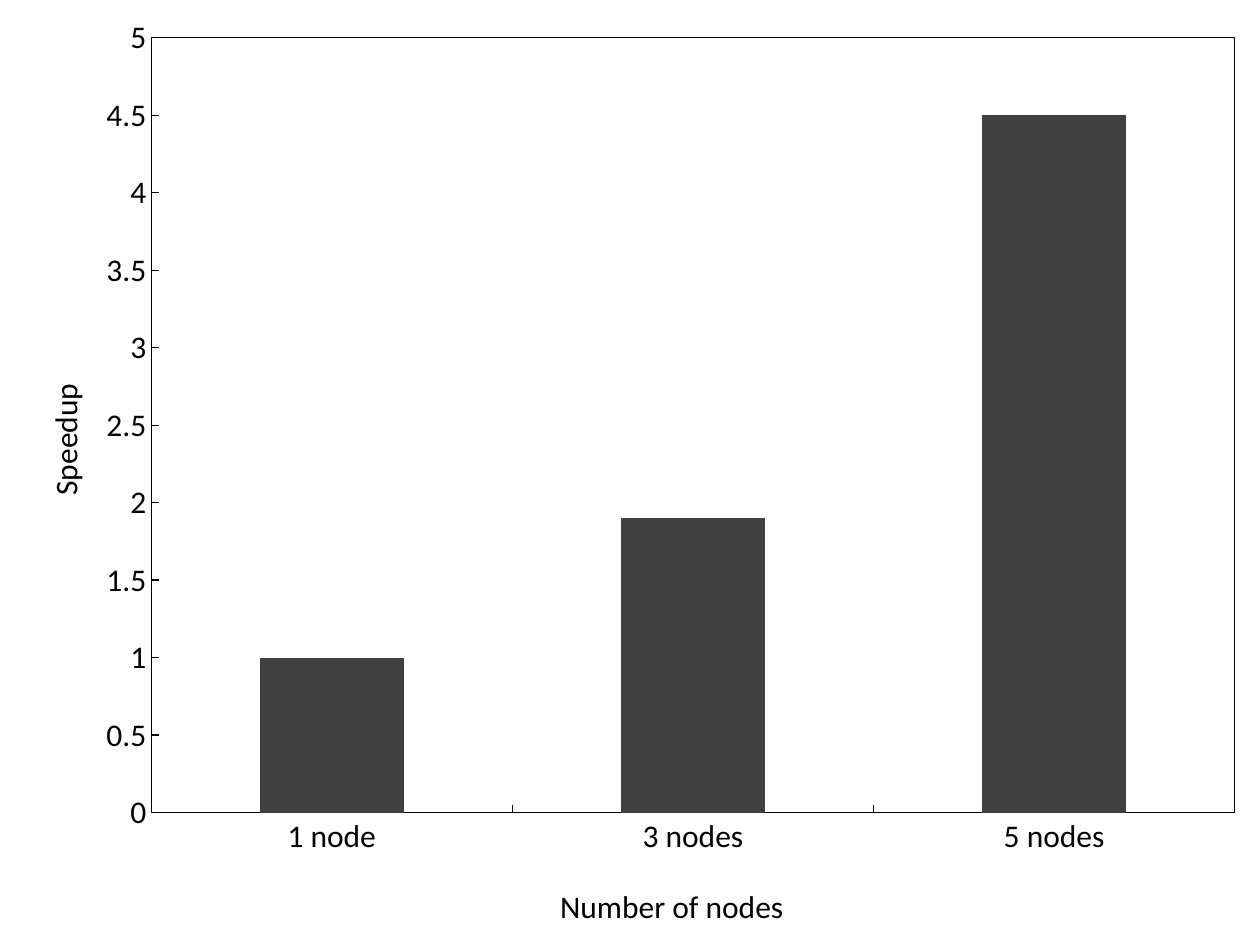
from dataclasses import dataclass

from lxml.etree import SubElement as Sub
from pptx import Presentation
from pptx.chart.data import CategoryChartData as Data
from pptx.dml.color import RGBColor as Color
from pptx.enum.chart import XL_CHART_TYPE as Kind, XL_TICK_MARK as Tick
from pptx.oxml import parse_xml
from pptx.oxml.ns import nsdecls, qn
from pptx.util import Inches, Pt


@dataclass(frozen=True)
class Theme:
    font: str = "Calibri"
    ink: str = "000000"
    bar: str = "404040"
    base: int = 10
    label: int = 18
    rule: float = 0.75


THEME = Theme()


def style(font, size):
    font.name = THEME.font
    font.size = Pt(size)
    font.bold = False
    font.color.rgb = Color.from_string(THEME.ink)


def pin(node, inner=False, **box):
    """Fix a chart part at shares of the chart's size."""
    layout = node.find(qn("c:layout"))
    if layout is None:
        layout = parse_xml(f"<c:layout {nsdecls('c')}/>")
        node.insert(0, layout)
    for old in list(layout):
        layout.remove(old)
    manual = Sub(layout, qn("c:manualLayout"))
    if inner:
        Sub(manual, qn("c:layoutTarget"), val="inner")
    for key in ("x", "y"):
        Sub(manual, qn(f"c:{key}Mode"), val="edge")
    for key, share in box.items():
        Sub(manual, qn(f"c:{key}"), val=str(share))


def frame(plot):
    """Draw a thin border round the plot area."""
    for old in plot.findall(qn("c:spPr")):
        plot.remove(old)
    plot.append(parse_xml(
        f'<c:spPr {nsdecls("c", "a")}><a:noFill/>'
        f'<a:ln w="{Pt(THEME.rule)}"><a:solidFill>'
        f'<a:srgbClr val="{THEME.ink}"/></a:solidFill></a:ln></c:spPr>'))


def dress(axis, text, x, y):
    axis.has_major_gridlines = False
    axis.major_tick_mark = Tick.INSIDE
    axis.minor_tick_mark = Tick.NONE
    style(axis.tick_labels.font, THEME.label)
    line = axis.format.line
    line.width = Pt(THEME.rule)
    line.color.rgb = Color.from_string(THEME.ink)
    title = axis.axis_title
    run = title.text_frame.paragraphs[0].add_run()
    run.text = text
    style(run.font, THEME.label)
    pin(title.format.element if hasattr(title.format, "element") else title._element,
        x=x, y=y)


def graph(slide, left, top, width, height):
    data = Data()
    data.categories = ["1 node", "3 nodes", "5 nodes"]
    data.add_series("Series 1", [1, 1.9, 4.5])
    chart = slide.shapes.add_chart(
        Kind.COLUMN_CLUSTERED, left, top, width, height, data).chart
    chart.has_title = False
    chart.has_legend = False
    style(chart.font, THEME.base)

    bars = chart.plots[0]
    bars.gap_width = 150
    bars.vary_by_categories = False
    fill = bars.series[0].format.fill
    fill.solid()
    fill.fore_color.rgb = Color.from_string(THEME.bar)

    dress(chart.category_axis, "Number of nodes", 0.44, 0.93)
    dress(chart.value_axis, "Speedup", 0.03, 0.4)
    scale = chart.value_axis
    scale.minimum_scale, scale.maximum_scale = 0, 5
    scale.major_unit = 0.5

    plot = chart.element.find(".//" + qn("c:plotArea"))
    pin(plot, inner=True, x=0.12, y=0.04, w=0.86, h=0.82)
    frame(plot)


def main():
    deck = Presentation()
    deck.slide_width, deck.slide_height = Inches(10), Inches(7.5)
    slide = deck.slides.add_slide(deck.slide_layouts[6])
    graph(slide, 0, 0, deck.slide_width, deck.slide_height)
    deck.save("out.pptx")


if __name__ == "__main__":
    main()
